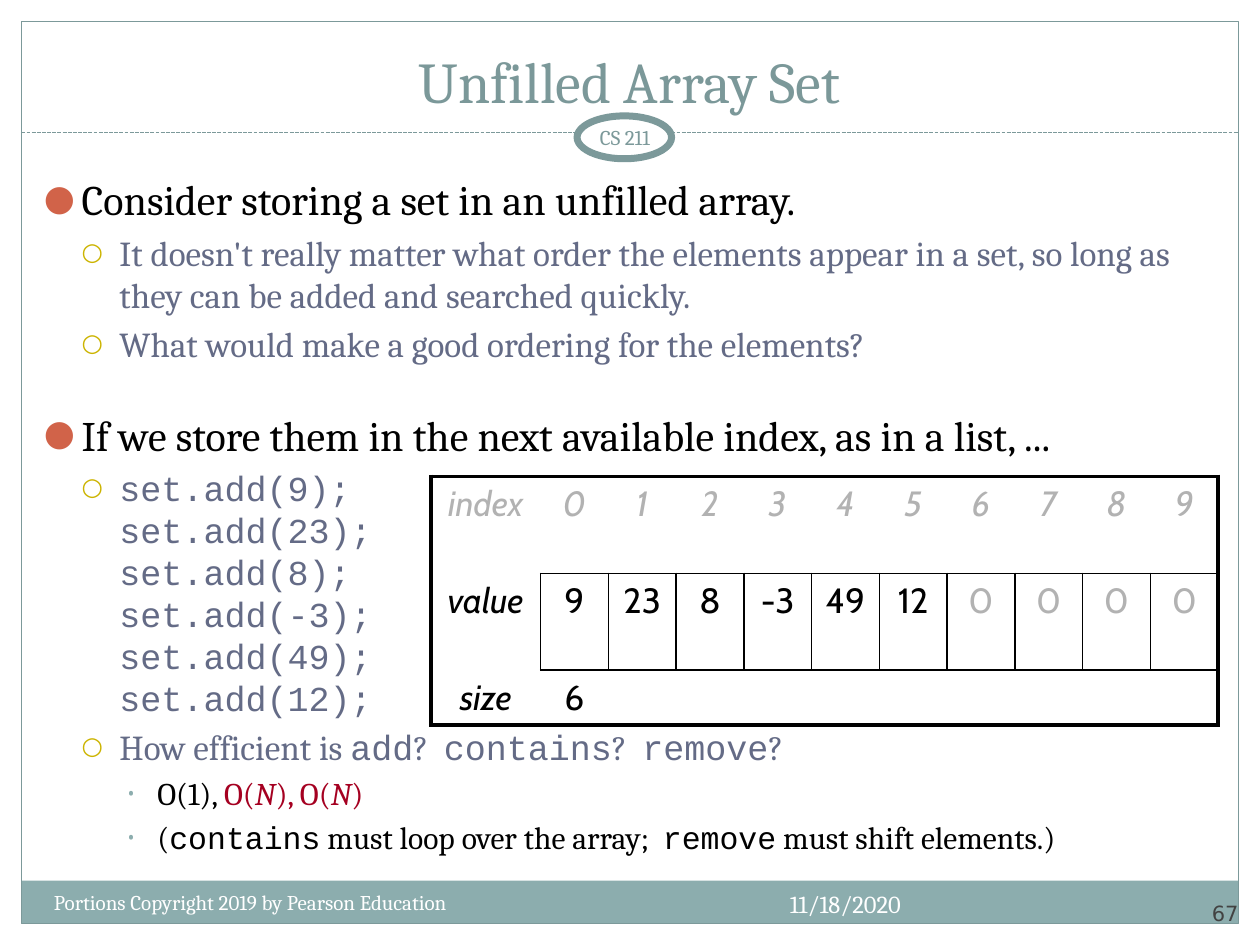
from lxml import etree
from pptx import Presentation
from pptx.dml.color import RGBColor
from pptx.enum import dml, shapes, text
from pptx.oxml import ns
from pptx.util import Inches, Pt

SERIF, MONO, SANS = "Cambria", "Courier New", "Cabin"
BLACK, WHITE, GREY = "000000", "FFFFFF", "B2B2B2"
TEAL, BAND, SLATE, RED = "7C999A", "8CADAE", "646B86", "A50021"
# level: (indent, hanging, text size, bullet, bullet colour, bullet size in %)
LEVELS = [
    (0.3, 0.3, 24, "●", "D16349", 85),
    (0.6, 0.3, 20, "○", "CCB400", 70),
    (0.9, 0.25, 18, "•", BAND, 75),
]
LEVEL_COLORS = [BLACK, SLATE, BLACK]


def rgb(color):
    return RGBColor.from_string(color)


def sub(parent, tag, **attributes):
    return etree.SubElement(parent, ns.qn(tag), attributes)


def add_run(paragraph, words, size, color, font=SERIF, italic=False):
    run = paragraph.add_run()
    run.text = words
    run.font.name = font
    run.font.size = Pt(size)
    run.font.italic = italic
    run.font.color.rgb = rgb(color)


def add_box(slide, box, inset=(0.1, 0.05), anchor=text.MSO_ANCHOR.TOP):
    """Add a wrapping text box and return its frame."""
    frame = slide.shapes.add_textbox(*map(Inches, box)).text_frame
    frame.word_wrap = True
    frame.margin_left = frame.margin_right = Inches(inset[0])
    frame.margin_top = frame.margin_bottom = Inches(inset[1])
    frame.vertical_anchor = anchor
    return frame


def add_label(slide, box, words, size, color, align, font=SERIF, **frame_options):
    paragraph = add_box(slide, box, **frame_options).paragraphs[0]
    paragraph.alignment = align
    add_run(paragraph, words, size, color, font)


def add_plain_shape(slide, kind, box, fill=None, line=None, width=0.75):
    shape = slide.shapes.add_shape(kind, *map(Inches, box))
    shape.shadow.inherit = False
    if fill:
        shape.fill.solid()
        shape.fill.fore_color.rgb = rgb(fill)
    else:
        shape.fill.background()
    if line:
        shape.line.color.rgb = rgb(line)
        shape.line.width = Pt(width)
    else:
        shape.line.fill.background()


def add_frame(slide, left, top, width, height):
    """Draw the slide border, the footer band and the rule under the title."""
    rectangle = shapes.MSO_SHAPE.RECTANGLE
    add_plain_shape(slide, rectangle, (left, top + height - 0.34, width, 0.34), fill=BAND)
    add_plain_shape(slide, rectangle, (left, top, width, height), line=TEAL)
    rule_y = Inches(top + 0.88)
    rule = slide.shapes.add_connector(
        shapes.MSO_CONNECTOR.STRAIGHT, Inches(left), rule_y, Inches(left + width), rule_y)
    rule.line.color.rgb = rgb(TEAL)
    rule.line.width = Pt(0.75)
    rule.line.dash_style = dml.MSO_LINE.SQUARE_DOT
    sub(rule._element.spPr, "a:effectLst")


def add_badge(slide, left, top, width, height):
    add_plain_shape(slide, shapes.MSO_SHAPE.OVAL, (left, top, width, height),
                    fill=WHITE, line=TEAL, width=4)
    add_label(slide, (left - 0.08, top, width + 0.17, height), "CS 211", 12, TEAL,
              text.PP_ALIGN.CENTER, inset=(0.05, 0.05), anchor=text.MSO_ANCHOR.MIDDLE)


def set_title(slide, box, words):
    title = slide.shapes.title
    title.left, title.top, title.width, title.height = map(Inches, box)
    frame = title.text_frame
    frame.vertical_anchor = text.MSO_ANCHOR.BOTTOM
    frame.paragraphs[0].alignment = text.PP_ALIGN.CENTER
    add_run(frame.paragraphs[0], words, 33, "7B9899")


def set_bullet(paragraph, level):
    indent, hanging, _, mark, color, percent = LEVELS[level]
    properties = paragraph._p.get_or_add_pPr()
    properties.set("marL", str(Inches(indent)))
    properties.set("indent", str(-Inches(hanging)))
    sub(sub(properties, "a:buClr"), "a:srgbClr", val=color)
    sub(properties, "a:buSzPct", val=str(percent * 1000))
    sub(properties, "a:buFont", typeface=SERIF)
    sub(properties, "a:buChar", char=mark)


def add_outline(slide, box, items):
    """Items are (level, extra space before, runs); a run is (words, overrides)."""
    frame = add_box(slide, box)
    for number, (level, extra, runs) in enumerate(items):
        paragraph = frame.add_paragraph() if number else frame.paragraphs[0]
        paragraph.level = level
        set_bullet(paragraph, level)
        size = LEVELS[level][2]
        if number:
            paragraph.space_before = Pt(size * 0.2 + extra)
        for words, overrides in runs:
            style = {"color": LEVEL_COLORS[level], **overrides}
            for line_number, line in enumerate(words.split("\n")):
                if line_number:
                    paragraph.add_line_break()
                add_run(paragraph, line, size, **style)


def edge_width(row, column, neighbour, row_count, column_count):
    """Thick around the table, thin around the value boxes, else none."""
    other_row, other_column = neighbour
    if not (0 <= other_row < row_count and 0 <= other_column < column_count):
        return 2.25
    boxed = (row == 1 and column > 0) or (other_row == 1 and other_column > 0)
    return 1 if boxed else 0


def set_borders(cell, widths):
    properties = cell._tc.get_or_add_tcPr()
    for position, (side, width) in enumerate(widths.items()):
        line = etree.Element(ns.qn("a:ln" + side), w=str(Pt(width)))
        if width:
            sub(sub(line, "a:solidFill"), "a:srgbClr", val=BLACK)
        else:
            sub(line, "a:noFill")
        properties.insert(position, line)


def add_array_table(slide, box, values, size):
    """Draw an array with its indexes, its values and the used size."""
    rows = [
        ["index", *range(len(values))],
        ["value", *values],
        ["size", size] + [""] * (len(values) - 1),
    ]
    row_count, column_count = len(rows), len(rows[0])
    table = slide.shapes.add_table(row_count, column_count, *map(Inches, box)).table
    table.first_row = table.horz_banding = False
    label_width = 0.87
    for number, column in enumerate(table.columns):
        value_width = (box[2] - label_width) / len(values)
        column.width = Inches(value_width if number else label_width)
    for row, height in zip(table.rows, (0.77, 0.77, 0.43)):
        row.height = Inches(height)
    for r, row in enumerate(rows):
        for c, value in enumerate(row):
            cell = table.cell(r, c)
            cell.fill.background()
            neighbours = {"L": (r, c - 1), "R": (r, c + 1), "T": (r - 1, c), "B": (r + 1, c)}
            set_borders(cell, {side: edge_width(r, c, near, row_count, column_count)
                               for side, near in neighbours.items()})
            if value == "":
                continue
            paragraph = cell.text_frame.paragraphs[0]
            paragraph.alignment = text.PP_ALIGN.CENTER
            unused = r == 0 or (r == 1 and c > size)
            add_run(paragraph, str(value), 20, GREY if unused else BLACK, SANS,
                    italic=r == 0 or c == 0)


def add_footer(slide, left, top):
    align = text.PP_ALIGN
    add_label(slide, (left, top, 4.08, 0.4),
              "Portions Copyright 2019 by Pearson Education", 12, WHITE, align.LEFT)
    add_label(slide, (left + 5.26, top, 1.66, 0.4), "11/18/2020", 14, WHITE, align.RIGHT)
    add_label(slide, (left + 8.67, top - 0.06, 0.83, 0.4), "67", 12, "424242", align.RIGHT,
              font="DejaVu Sans", inset=(0, 0), anchor=text.MSO_ANCHOR.BOTTOM)


def main():
    presentation = Presentation()
    presentation.slide_width, presentation.slide_height = Inches(10), Inches(7.5)
    slide = presentation.slides.add_slide(presentation.slide_layouts[5])
    values = [9, 23, 8, -3, 49, 12]
    calls = "\n".join(f"set.add({value});" for value in values)
    code, red, red_italic = {"font": MONO}, {"color": RED}, {"color": RED, "italic": True}

    add_frame(slide, 0.17, 0.17, 9.66, 7.16)
    set_title(slide, (0.33, 0.25, 9.33, 0.71), "Unfilled Array Set")
    add_badge(slide, 4.58, 0.92, 0.75, 0.34)
    add_outline(slide, (0.25, 1.33, 9.5, 5.58), [
        (0, 0, [("Consider storing a set in an unfilled array.", {})]),
        (1, 0, [("It doesn't really matter what order the elements appear in a set, "
                 "so long as they can be added and searched quickly.", {})]),
        (1, 0, [("What would make a good ordering for the elements?", {})]),
        (0, 20.8, [("If we store them in the next available index, as in a list, ...", {})]),
        (1, 0, [(calls, code)]),
        (1, 0, [("How efficient is ", {}), ("add", code), ("?  ", {}), ("contains", code),
                ("?  ", {}), ("remove", code), ("?", {})]),
        (2, 0, [("O(1), ", {}), ("O(", red), ("N", red_italic), ("), O(", red),
                ("N", red_italic), (")", red)]),
        (2, 0, [("(", {}), ("contains", code), (" must loop over the array;  ", {}),
                ("remove", code), (" must shift elements.)", {})]),
    ])
    add_array_table(slide, (3.42, 3.78, 6.25, 1.97), values + [0] * 4, len(values))
    add_footer(slide, 0.33, 7.01)
    presentation.save("out.pptx")


if __name__ == "__main__":
    main()
